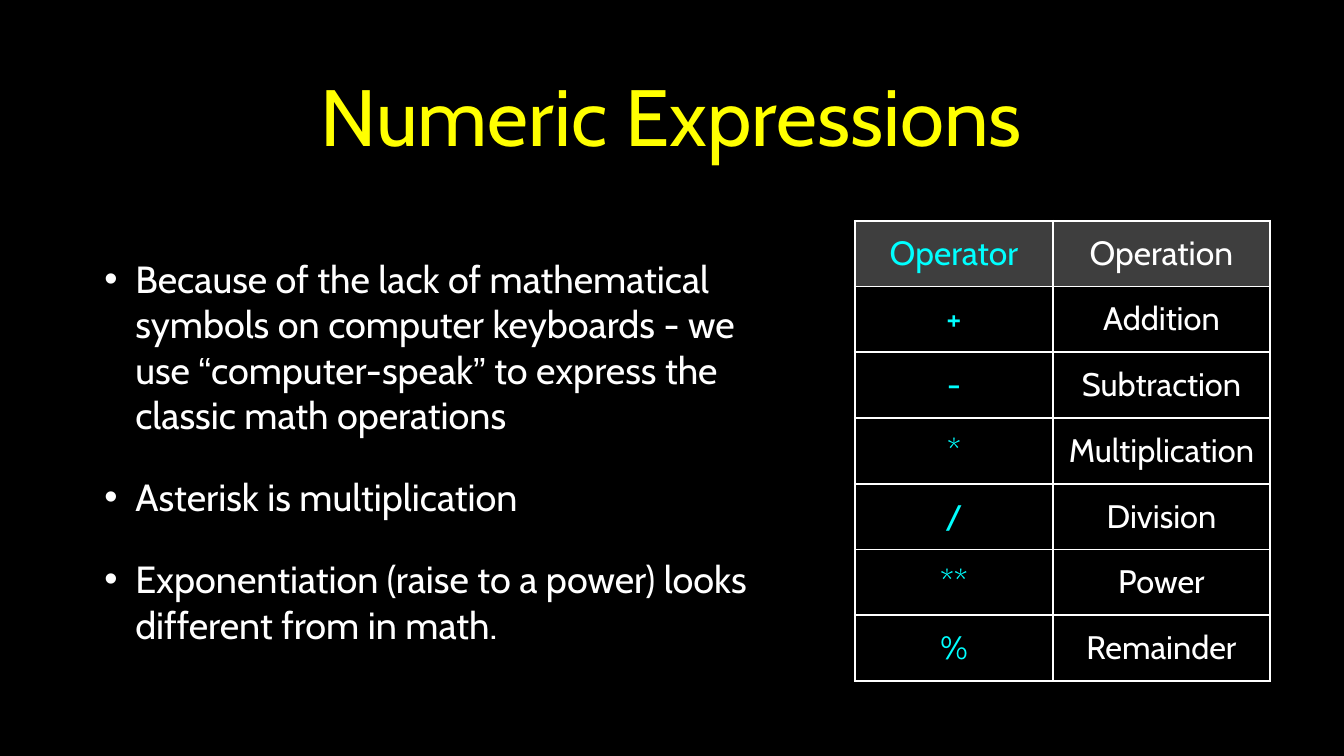
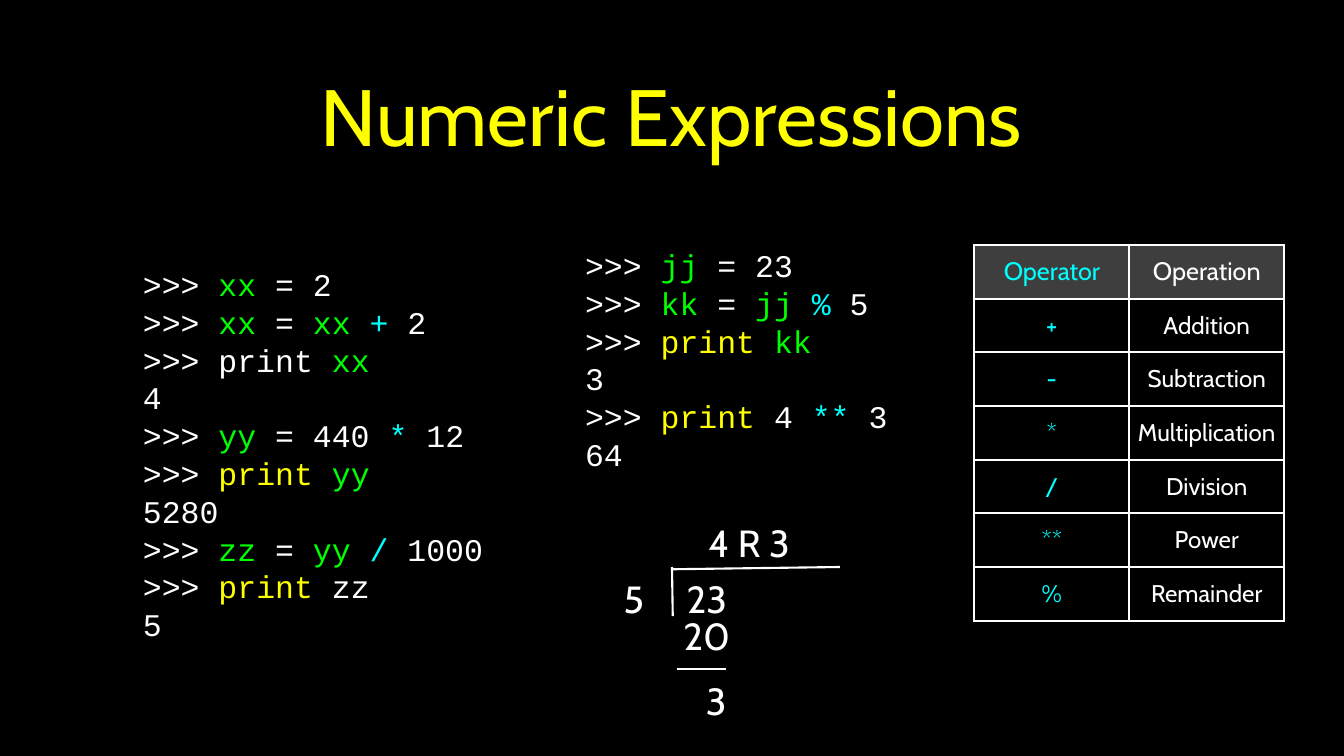
from pptx import Presentation
from pptx.dml.color import RGBColor
from pptx.enum.shapes import MSO_CONNECTOR
from pptx.enum.text import MSO_ANCHOR, PP_ALIGN
from pptx.oxml.ns import qn
from pptx.util import Inches, Pt
from lxml import etree

STRAIGHT = MSO_CONNECTOR.STRAIGHT
MIDDLE = MSO_ANCHOR.MIDDLE
LEFT = PP_ALIGN.LEFT
CENTER = PP_ALIGN.CENTER

BLACK = RGBColor(0x00, 0x00, 0x00)
WHITE = RGBColor(0xFF, 0xFF, 0xFF)
YELLOW = RGBColor(0xFF, 0xFF, 0x00)
GREEN = RGBColor(0x00, 0xFF, 0x00)
CYAN = RGBColor(0x00, 0xFF, 0xFF)
GREY = RGBColor(0x7F, 0x7F, 0x7F)

BODY_FONT = "Cabin"
QUOTE_FONT = "Arial"
CODE_FONT = "Courier New"
INSET = 0.04
HEADER_OPACITY = 49
LINE_WIDTH = 2

TITLE = "Numeric Expressions"
OPERATORS = [
    ("Operator", "Operation"),
    ("+", "Addition"),
    ("-", "Subtraction"),
    ("*", "Multiplication"),
    ("/", "Division"),
    ("**", "Power"),
    ("%", "Remainder"),
]
BULLETS = [
    "Because of the lack of mathematical symbols on computer keyboards - we use "
    "“computer-speak” to express the classic math operations",
    "Asterisk is multiplication",
    "Exponentiation (raise to a power) looks different from in math.",
]
PROMPT = (">>> ", WHITE)
ARITHMETIC_CODE = [
    [PROMPT, ("xx", GREEN), (" = 2", WHITE)],
    [PROMPT, ("xx", GREEN), (" = ", WHITE), ("xx ", GREEN), ("+", CYAN), (" 2", WHITE)],
    [PROMPT, ("print ", WHITE), ("xx", GREEN)],
    [("4", WHITE)],
    [PROMPT, ("yy", GREEN), (" = 440 ", WHITE), ("*", CYAN), (" 12", WHITE)],
    [PROMPT, ("print ", YELLOW), ("yy", GREEN)],
    [("5280", WHITE)],
    [PROMPT, ("zz", GREEN), (" = ", WHITE), ("yy ", GREEN), ("/", CYAN), (" 1000", WHITE)],
    [PROMPT, ("print", YELLOW), (" zz", WHITE)],
    [("5", WHITE)],
]
REMAINDER_CODE = [
    [PROMPT, ("jj", GREEN), (" = 23", WHITE)],
    [PROMPT, ("kk", GREEN), (" = ", WHITE), ("jj ", GREEN), ("% ", CYAN), ("5", WHITE)],
    [PROMPT, ("print ", YELLOW), ("kk", GREEN)],
    [("3", WHITE)],
    [PROMPT, ("print", YELLOW), (" 4 ", WHITE), ("**", CYAN), (" 3", WHITE)],
    [("64", WHITE)],
]
DIVISION_NUMBERS = [
    ("5", 8.2, 7.57, 0.37),
    ("23", 9.04, 7.57, 0.62),
    ("4 R 3", 9.31, 6.84, 1.2),
    ("20", 9.04, 8.07, 0.62),
    ("3", 9.29, 8.92, 0.37),
]
DIVISION_RULES = [
    (8.89, 7.5, 8.9, 8.15),
    (8.89, 7.53, 11.11, 7.5),
    (8.96, 8.85, 9.6, 8.85),
]


def add_slide(deck):
    slide = deck.slides.add_slide(deck.slide_layouts[6])
    slide.background.fill.solid()
    slide.background.fill.fore_color.rgb = BLACK
    add_text(slide, (1.26, 0.26, 15.24, 2.51), [[(TITLE, YELLOW)]], 76, align=CENTER, inset=INSET)
    return slide


def format_run(run, size, color, font=BODY_FONT):
    run.font.size = Pt(size)
    run.font.name = font
    run.font.color.rgb = color


def add_text(slide, area, lines, size, font=BODY_FONT, align=LEFT, inset=0):
    box = slide.shapes.add_textbox(*map(Inches, area))
    frame = box.text_frame
    frame.word_wrap = True
    frame.vertical_anchor = MIDDLE
    frame.margin_left = frame.margin_right = Inches(inset)
    frame.margin_top = frame.margin_bottom = Inches(inset)
    for number, parts in enumerate(lines):
        paragraph = frame.add_paragraph() if number else frame.paragraphs[0]
        paragraph.alignment = align
        for text, color in parts:
            run = paragraph.add_run()
            run.text = text
            format_run(run, size, color, QUOTE_FONT if text in "“”" else font)
    return frame


def split_quotes(sentence):
    spaced = sentence.replace("“", "\n“\n").replace("”", "\n”\n")
    return [(part, WHITE) for part in spaced.split("\n")]


def add_bullets(slide, area, sentences):
    frame = add_text(slide, area, map(split_quotes, sentences), 36, inset=INSET)
    for number, paragraph in enumerate(frame.paragraphs):
        paragraph.space_before = Pt(35 if number else 0)
        properties = paragraph._p.get_or_add_pPr()
        properties.set("marL", str(Inches(0.82)))
        properties.set("indent", str(Inches(-0.41)))
        bullet_color = etree.SubElement(properties, qn("a:buClr"))
        etree.SubElement(bullet_color, qn("a:srgbClr"), val=str(WHITE))
        etree.SubElement(properties, qn("a:buFont"), typeface="Arial")
        etree.SubElement(properties, qn("a:buChar"), char="•")


def add_borders(cell):
    properties = cell._tc.get_or_add_tcPr()
    for position, side in enumerate(("lnL", "lnR", "lnT", "lnB")):
        border = etree.Element(qn(f"a:{side}"), w=str(Pt(LINE_WIDTH)))
        fill = etree.SubElement(border, qn("a:solidFill"))
        etree.SubElement(fill, qn("a:srgbClr"), val=str(WHITE))
        properties.insert(position, border)


def fill_header(cell):
    cell.fill.solid()
    cell.fill.fore_color.rgb = GREY
    color = cell._tc.tcPr.find(f".//{qn('a:srgbClr')}")
    etree.SubElement(color, qn("a:alpha"), val=str(HEADER_OPACITY * 1000))


def add_operator_table(slide, left, top, widths, row_height, header_size):
    table = slide.shapes.add_table(
        len(OPERATORS), len(widths), Inches(left), Inches(top),
        Inches(sum(widths)), Inches(row_height * len(OPERATORS))).table
    table.first_row = False
    table.horz_banding = False
    for column, width in zip(table.columns, widths):
        column.width = Inches(width)
    for row_number, entries in enumerate(OPERATORS):
        table.rows[row_number].height = Inches(row_height)
        size = header_size - 1 if row_number else header_size
        for column_number, (entry, color) in enumerate(zip(entries, (CYAN, WHITE))):
            cell = table.cell(row_number, column_number)
            cell.margin_left = cell.margin_right = Inches(INSET)
            cell.margin_top = cell.margin_bottom = Inches(INSET)
            cell.vertical_anchor = MIDDLE
            cell.text_frame.text = entry
            paragraph = cell.text_frame.paragraphs[0]
            paragraph.alignment = CENTER
            format_run(paragraph.runs[0], size, color)
            if row_number:
                cell.fill.background()
            else:
                fill_header(cell)
            add_borders(cell)


def add_rule(slide, ends):
    rule = slide.shapes.add_connector(STRAIGHT, *map(Inches, ends))
    rule.line.color.rgb = WHITE
    rule.line.width = Pt(LINE_WIDTH)
    etree.SubElement(rule._element.spPr, qn("a:effectLst"))


def add_long_division(slide):
    for ends in DIVISION_RULES:
        add_rule(slide, ends)
    for number, left, top, width in DIVISION_NUMBERS:
        add_text(slide, (left, top, width, 0.68), [[(number, WHITE)]], 36, align=CENTER)


def main():
    deck = Presentation()
    deck.slide_width = Inches(17.78)
    deck.slide_height = Inches(10)

    operators = add_slide(deck)
    add_bullets(operators, (0.93, 2.85, 9.24, 6.24), BULLETS)
    add_operator_table(operators, 11.31, 2.92, (2.62, 2.87), 0.87, 32)

    examples = add_slide(deck)
    add_text(examples, (1.89, 3.1, 4.88, 5.81), ARITHMETIC_CODE, 30, CODE_FONT)
    add_text(examples, (7.74, 2.99, 4.4, 3.53), REMAINDER_CODE, 30, CODE_FONT)
    add_operator_table(examples, 12.89, 3.24, (2.05, 2.05), 0.71, 24)
    add_long_division(examples)

    deck.save("out.pptx")


if __name__ == "__main__":
    main()
